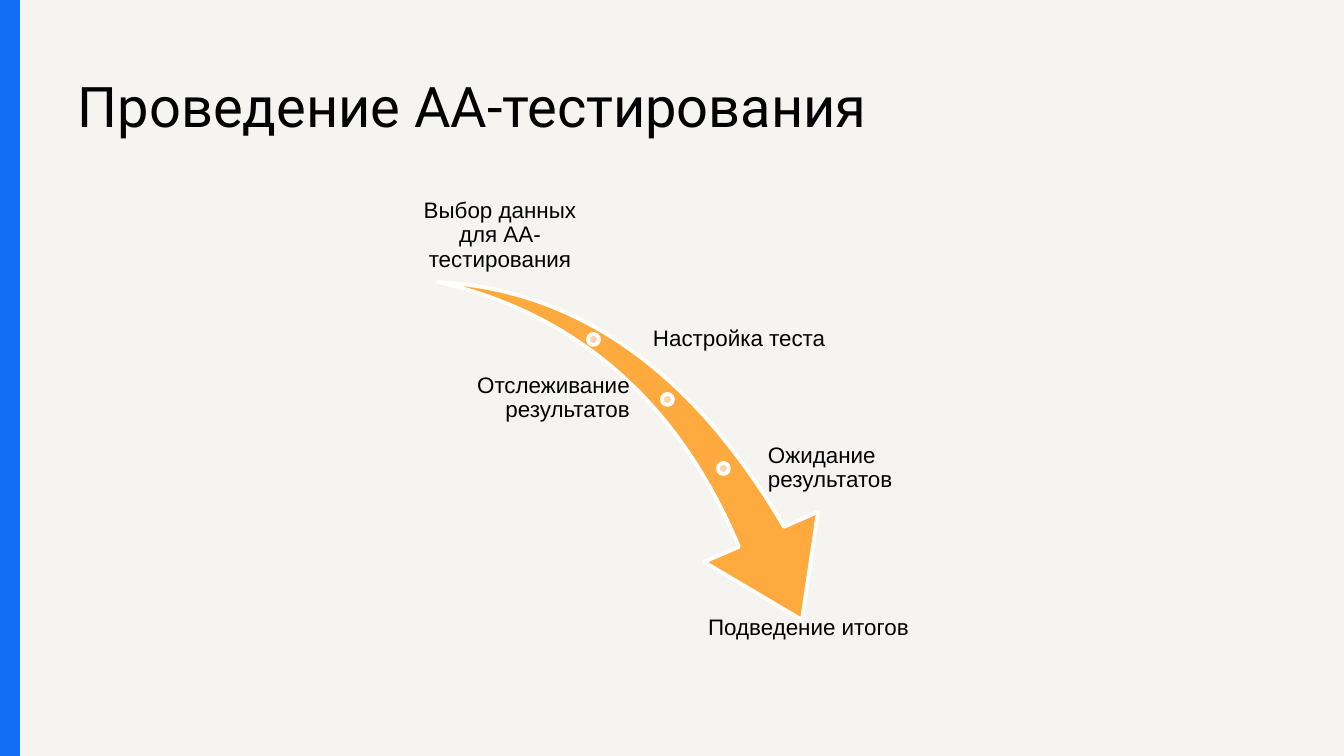
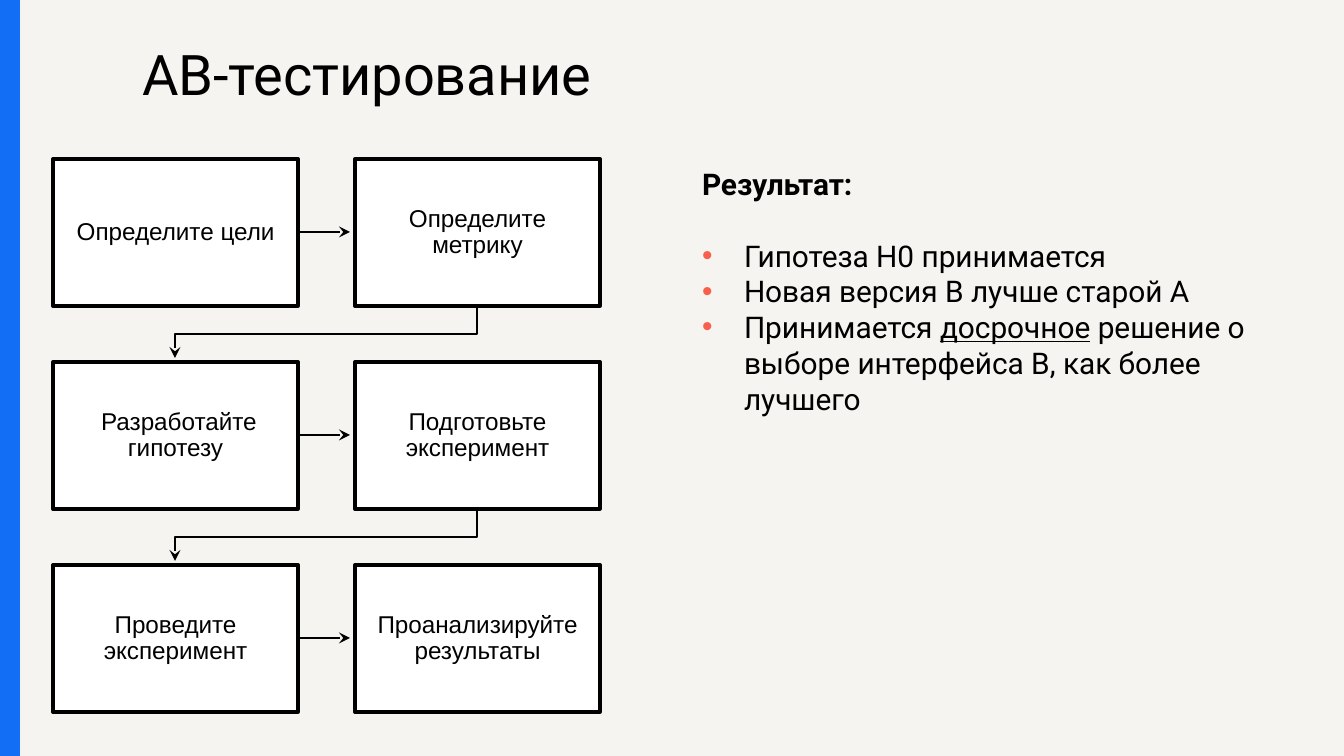
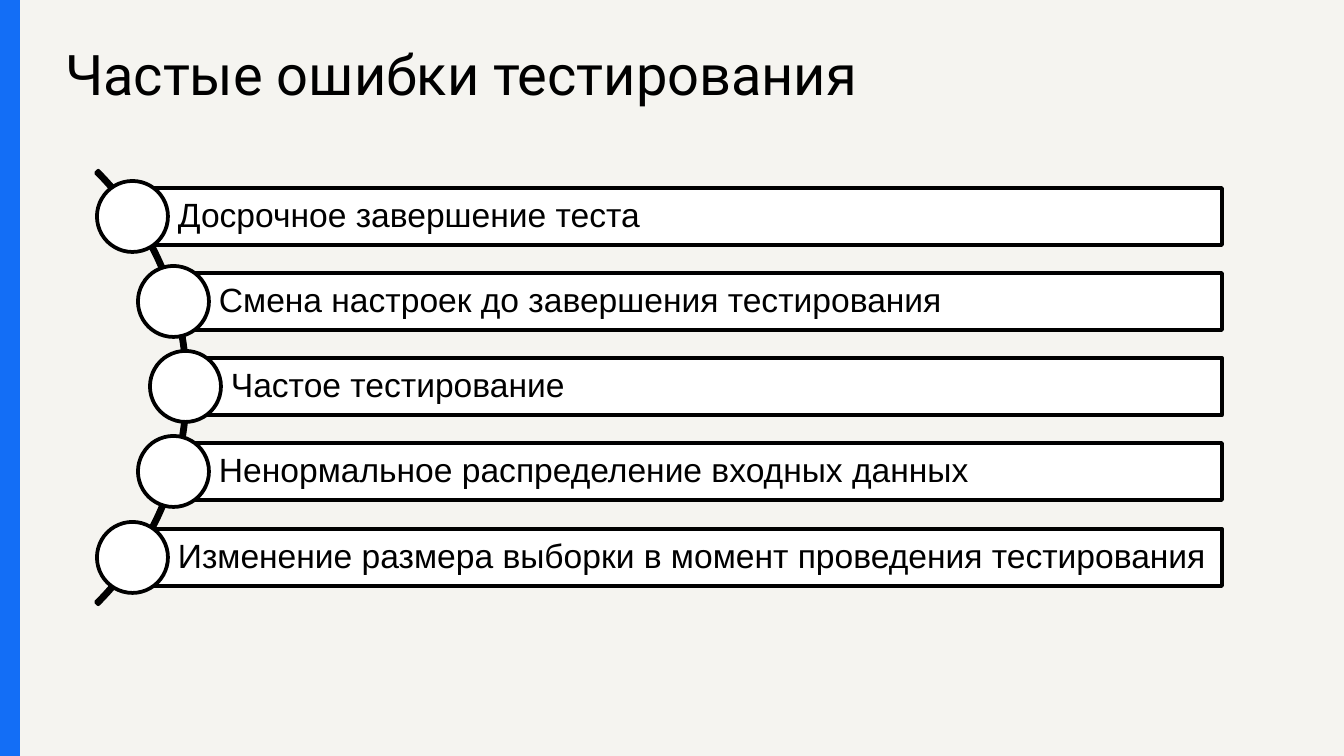
from dataclasses import dataclass

from lxml import etree
from pptx import Presentation
from pptx.dml.color import RGBColor
from pptx.enum.shapes import MSO_CONNECTOR, MSO_SHAPE
from pptx.enum.text import MSO_ANCHOR, MSO_AUTO_SIZE, PP_ALIGN
from pptx.oxml.ns import qn
from pptx.util import Emu, Pt

RECTANGLE, OVAL, BLOCK_ARC = MSO_SHAPE.RECTANGLE, MSO_SHAPE.OVAL, MSO_SHAPE.BLOCK_ARC
STRAIGHT = MSO_CONNECTOR.STRAIGHT
LEFT, CENTER, RIGHT = PP_ALIGN.LEFT, PP_ALIGN.CENTER, PP_ALIGN.RIGHT
TOP, MIDDLE, BOTTOM = MSO_ANCHOR.TOP, MSO_ANCHOR.MIDDLE, MSO_ANCHOR.BOTTOM
TITLE_AND_BODY, TITLE_ONLY = 1, 5
SLIDE_WIDTH, SLIDE_HEIGHT = 1344, 756
EMU_PER_PX = 914400 / 134.4


@dataclass(frozen=True)
class Theme:
    background: str = "F5F4F0"
    band: str = "136EF6"
    ink: str = "000000"
    paper: str = "FFFFFF"
    arrow: str = "FFAA3F"
    dot: str = "FFD2AE"
    bullet: str = "F85F4C"
    heading_font: str = "Roboto"
    label_font: str = "Arial"
    title_size: int = 30
    error_size: int = 18
    body_size: int = 16
    step_size: int = 13
    label_size: int = 12
    outline: float = 2
    thin_line: float = 0.75


THEME = Theme()


def px(value):
    return Emu(round(value * EMU_PER_PX))


def place(shape, left, top, width, height):
    shape.left, shape.top = px(left), px(top)
    shape.width, shape.height = px(width), px(height)


# Text
def set_frame(shape, insets, anchor):
    frame = shape.text_frame
    frame.word_wrap = True
    frame.auto_size = MSO_AUTO_SIZE.NONE
    frame.vertical_anchor = anchor
    (frame.margin_left, frame.margin_top,
     frame.margin_right, frame.margin_bottom) = map(px, insets)
    return frame


def write(paragraph, text, font=THEME.label_font, size=THEME.label_size, align=LEFT,
          spacing=1.0, before=0, bold=False, underline=False):
    paragraph.alignment = align
    paragraph.line_spacing = spacing
    paragraph.space_before = Pt(before)
    run = paragraph.add_run()
    run.text = text
    run.font.name, run.font.size = font, Pt(size)
    run.font.bold, run.font.underline = bold, underline
    run.font.color.rgb = RGBColor.from_string(THEME.ink)


def set_bullet(paragraph, character=None, indent=0):
    properties = paragraph._p.get_or_add_pPr()
    properties.set("marL", str(px(indent)))
    properties.set("indent", str(-px(indent)))
    if character is None:
        etree.SubElement(properties, qn("a:buNone"))
        return
    color = etree.SubElement(properties, qn("a:buClr"))
    etree.SubElement(color, qn("a:srgbClr"), val=THEME.bullet)
    etree.SubElement(properties, qn("a:buChar"), char=character)


def add_label(slide, box, text, align, anchor):
    label = slide.shapes.add_textbox(*map(px, box))
    frame = set_frame(label, (3, 3, 3, 3), anchor)
    write(frame.paragraphs[0], text, align=align, spacing=0.9)


# Shapes and lines
def paint(shape, fill=None, line=None, width=THEME.outline):
    shape.shadow.inherit = False
    if fill:
        shape.fill.solid()
        shape.fill.fore_color.rgb = RGBColor.from_string(fill)
    else:
        shape.fill.background()
    if line:
        shape.line.color.rgb = RGBColor.from_string(line)
        shape.line.width = Pt(width)
    else:
        shape.line.fill.background()


def add_figure(slide, kind, box, fill=None, line=None):
    shape = slide.shapes.add_shape(kind, *map(px, box))
    paint(shape, fill, line)
    return shape


def add_outline(slide, points, closed):
    start, *rest = [(px(x), px(y)) for x, y in points]
    builder = slide.shapes.build_freeform(*start, scale=1.0)
    builder.add_line_segments(rest, close=closed)
    return builder.convert_to_shape()


def add_arrowhead(shape):
    etree.SubElement(shape.line._get_or_add_ln(), qn("a:tailEnd"), type="stealth")


def add_arrow(slide, start, end):
    arrow = slide.shapes.add_connector(STRAIGHT, *map(px, start + end))
    arrow.line.color.rgb = RGBColor.from_string(THEME.ink)
    arrow.line.width = Pt(THEME.thin_line)
    add_arrowhead(arrow)
    etree.SubElement(arrow._element.spPr, qn("a:effectLst"))


def add_bent_arrow(slide, start, bend, end):
    (start_x, _), (end_x, _) = start, end
    arrow = add_outline(slide, [start, (start_x, bend), (end_x, bend), end], closed=False)
    paint(arrow, line=THEME.ink, width=THEME.thin_line)
    add_arrowhead(arrow)


def curve(start, control_1, control_2, end, steps=40):
    points = []
    for step in range(steps + 1):
        t = step / steps
        weights = ((1 - t) ** 3, 3 * t * (1 - t) ** 2, 3 * t ** 2 * (1 - t), t ** 3)
        points.append(tuple(
            sum(weight * value for weight, value in zip(weights, axis))
            for axis in zip(start, control_1, control_2, end)))
    return points


# Common slide frame
def add_slide(presentation, layout, title, left, top):
    slide = presentation.slides.add_slide(presentation.slide_layouts[layout])
    place(slide.shapes.title, left, top, 890, 137)
    frame = set_frame(slide.shapes.title, (13, 13, 13, 13), TOP)
    write(frame.paragraphs[0], title, font=THEME.heading_font, size=THEME.title_size)
    add_figure(slide, RECTANGLE, (0, -1, 20, 759), THEME.band)
    return slide


# Slide 1: curved arrow with stages
def build_aa_testing(presentation):
    slide = add_slide(presentation, TITLE_ONLY, "Проведение АА-тестирования", 65, 59)
    tail = (438, 282)
    arrow_points = (
        curve(tail, (578, 290), (693, 371), (784, 527))
        + [(818, 512), (802, 620), (704, 562)]
        + curve((739, 547), (679, 403), (578, 314), tail))
    paint(add_outline(slide, arrow_points, closed=True), THEME.arrow, THEME.paper)
    for left, top in ((588, 334), (662, 394), (718, 463)):
        add_figure(slide, OVAL, (left, top, 11, 11), THEME.dot, THEME.paper)
    stages = (
        ((399, 196, 202, 79), "Выбор данных для АА-тестирования", CENTER, BOTTOM),
        ((650, 300, 294, 79), "Настройка теста", LEFT, MIDDLE),
        ((399, 359, 234, 79), "Отслеживание результатов", RIGHT, MIDDLE),
        ((765, 429, 180, 79), "Ожидание результатов", LEFT, MIDDLE),
        ((672, 613, 273, 79), "Подведение итогов", CENTER, TOP),
    )
    for stage in stages:
        add_label(slide, *stage)


# Slide 2: step grid and result list
def add_step_grid(slide):
    rows = (
        ("Определите цели", "Определите метрику"),
        (" Разработайте гипотезу", "Подготовьте эксперимент"),
        ("Проведите эксперимент", "Проанализируйте результаты"),
    )
    columns, first_top, row_step = (53, 355), 159, 203
    width, height = 245, 147
    first_center, last_center = (left + width // 2 for left in columns)
    for row, steps in enumerate(rows):
        top = first_top + row * row_step
        bottom, middle = top + height, top + height // 2
        add_arrow(slide, (columns[0] + width, middle), (columns[1] - 5, middle))
        if row < len(rows) - 1:
            add_bent_arrow(slide, (last_center, bottom), bottom + 28,
                           (first_center, bottom + 52))
        for left, text in zip(columns, steps):
            box = add_figure(slide, RECTANGLE, (left, top, width, height),
                             THEME.paper, THEME.ink)
            frame = set_frame(box, (13, 13, 13, 13), MIDDLE)
            write(frame.paragraphs[0], text, size=THEME.step_size,
                  align=CENTER, spacing=0.9)


def add_result_list(slide):
    body = slide.placeholders[1]
    place(body, 689, 159, 575, 281)
    frame = set_frame(body, (13, 7, 13, 7), TOP)
    style = {"font": THEME.heading_font, "size": THEME.body_size}
    heading = frame.paragraphs[0]
    set_bullet(heading)
    write(heading, "Результат:", bold=True, **style)
    results = (
        ("Гипотеза H0 принимается",),
        ("Новая версия В лучше старой А",),
        ("Принимается ", "досрочное", " решение о выборе интерфейса В, как более лучшего"),
    )
    for index, parts in enumerate(results):
        paragraph = frame.add_paragraph()
        set_bullet(paragraph, "•", indent=42)
        for part in parts:
            write(paragraph, part, before=0 if index else 19,
                  underline=part == "досрочное", **style)


def build_ab_testing(presentation):
    slide = add_slide(presentation, TITLE_AND_BODY, "AB-тестирование", 129, 27)
    add_step_grid(slide)
    add_result_list(slide)


# Slide 3: errors along an arc
def build_common_errors(presentation):
    slide = add_slide(presentation, TITLE_ONLY, "Частые ошибки тестирования", 52, 27)
    arc = add_figure(slide, BLOCK_ARC, (-425, 81, 613, 613), line=THEME.ink)
    for index, value in enumerate((189, 27, 0.005)):
        arc.adjustments[index] = value
    errors = (
        (132, "Досрочное завершение теста"),
        (173, "Смена настроек до завершения тестирования"),
        (185, "Частое тестирование"),
        (173, "Ненормальное распределение входных данных"),
        (132, "Изменение размера выборки в момент проведения тестирования"),
    )
    first_top, last_top, bar_height, bar_right, circle = 188, 529, 57, 1222, 71
    for index, (left, text) in enumerate(errors):
        top = first_top + (last_top - first_top) * index // (len(errors) - 1)
        bar = add_figure(slide, RECTANGLE, (left, top, bar_right - left, bar_height),
                         THEME.paper, THEME.ink)
        frame = set_frame(bar, (46, 7, 7, 7), MIDDLE)
        write(frame.paragraphs[0], text, size=THEME.error_size, spacing=0.9)
        circle_top = top - (circle - bar_height) // 2
        add_figure(slide, OVAL, (left - circle // 2, circle_top, circle, circle),
                   THEME.paper, THEME.ink)


def main():
    presentation = Presentation()
    presentation.slide_width = px(SLIDE_WIDTH)
    presentation.slide_height = px(SLIDE_HEIGHT)
    background = presentation.slide_master.background.fill
    background.solid()
    background.fore_color.rgb = RGBColor.from_string(THEME.background)
    build_aa_testing(presentation)
    build_ab_testing(presentation)
    build_common_errors(presentation)
    presentation.save("out.pptx")


if __name__ == "__main__":
    main()
